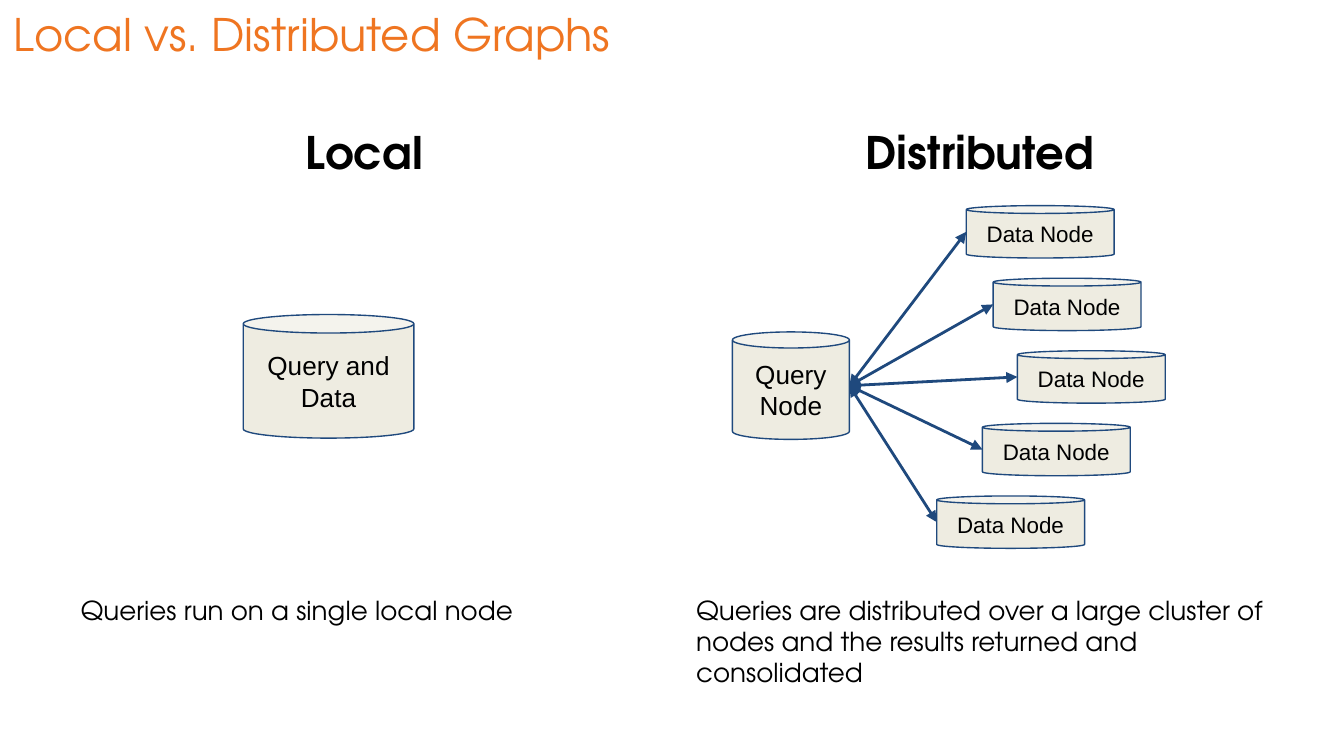
"""Build a slide comparing local and distributed graph queries."""
from dataclasses import dataclass

from lxml.etree import SubElement
from pptx import Presentation
from pptx.dml.color import RGBColor
from pptx.enum.shapes import MSO_CONNECTOR as Connector, MSO_SHAPE as Preset
from pptx.enum.text import MSO_ANCHOR as Anchor, MSO_AUTO_SIZE as AutoSize, PP_ALIGN as Align
from pptx.oxml.ns import qn
from pptx.util import Inches, Pt

ORANGE = RGBColor(0xEF, 0x75, 0x21)
BLACK = RGBColor(0, 0, 0)
CREAM = RGBColor(0xEE, 0xEC, 0xE1)
NAVY = RGBColor(0x1F, 0x49, 0x7D)
DISPLAY_FONT = "TeX Gyre Adventor"
NODE_FONT = "Arial"


@dataclass(frozen=True)
class Box:
    left: float
    top: float
    width: float
    height: float

    @property
    def middle(self) -> float:
        return self.top + self.height / 2


@dataclass(frozen=True)
class Style:
    font: str
    size: int
    color: RGBColor = BLACK
    bold: bool = False
    align: Align = Align.LEFT
    anchor: Anchor = Anchor.TOP


@dataclass(frozen=True)
class Column:
    left: float
    heading: str
    caption: str
    caption_height: float


TITLE = Style(DISPLAY_FONT, 24, ORANGE)
HEADING = Style(DISPLAY_FONT, 24, bold=True, align=Align.CENTER, anchor=Anchor.BOTTOM)
CAPTION = Style(DISPLAY_FONT, 14)
LARGE_NODE = Style(NODE_FONT, 14, align=Align.CENTER, anchor=Anchor.MIDDLE)
SMALL_NODE = Style(NODE_FONT, 12, align=Align.CENTER, anchor=Anchor.MIDDLE)

COLUMN_WIDTH = 4.42
COLUMNS = (
    Column(0.5, "Local", "Queries run on a single local node", 0.85),
    Column(5.08, "Distributed", "Queries are distributed over a large cluster of nodes "
           "and the results returned and consolidated", 1.26),
)
LOCAL_NODE = Box(1.81, 2.34, 1.27, 0.92)
QUERY_NODE = Box(5.45, 2.47, 0.87, 0.8)
DATA_NODE_LEFTS = (7.19, 7.39, 7.57, 7.31, 6.97)
DATA_NODES = [Box(left, 1.53 + 0.54 * row, 1.1, 0.39) for row, left in enumerate(DATA_NODE_LEFTS)]


def write(shape, text: str, style: Style) -> None:
    frame = shape.text_frame
    frame.word_wrap = True
    frame.auto_size = AutoSize.NONE
    frame.vertical_anchor = style.anchor
    paragraph = frame.paragraphs[0]
    paragraph.alignment = style.align
    paragraph.space_before = Pt(0)
    run = paragraph.add_run()
    run.text = text
    run.font.name = style.font
    run.font.size = Pt(style.size)
    run.font.bold = style.bold
    run.font.color.rgb = style.color


def fill_placeholder(shape, box: Box, text: str, style: Style) -> None:
    shape.left, shape.top = Inches(box.left), Inches(box.top)
    shape.width, shape.height = Inches(box.width), Inches(box.height)
    write(shape, text, style)
    properties = shape.text_frame.paragraphs[0]._p.get_or_add_pPr()
    properties.set("marL", "0")
    properties.set("indent", "0")
    SubElement(properties, qn("a:buNone"))


def add_node(slide, box: Box, text: str, style: Style) -> None:
    shape = slide.shapes.add_shape(
        Preset.CAN, Inches(box.left), Inches(box.top), Inches(box.width), Inches(box.height))
    shape.adjustments[0] = 0.15
    shape.shadow.inherit = False
    shape.fill.solid()
    shape.fill.fore_color.rgb = CREAM
    shape.line.color.rgb = NAVY
    shape.line.width = Pt(0.75)
    frame = shape.text_frame
    frame.margin_left = frame.margin_right = Inches(0.1)
    frame.margin_top = frame.margin_bottom = Inches(0.1)
    write(shape, text, style)


def add_arrow(slide, source: Box, target: Box) -> None:
    connector = slide.shapes.add_connector(
        Connector.STRAIGHT,
        Inches(source.left + source.width), Inches(source.middle),
        Inches(target.left), Inches(target.middle))
    connector.line.color.rgb = NAVY
    connector.line.width = Pt(1.5)
    line = connector.line._get_or_add_ln()
    for end in ("a:headEnd", "a:tailEnd"):
        SubElement(line, qn(end), type="triangle")
    SubElement(connector._element.spPr, qn("a:effectLst"))


def main() -> None:
    presentation = Presentation()
    presentation.slide_width = Inches(10)
    presentation.slide_height = Inches(10 * 9 / 16)
    slide = presentation.slides.add_slide(presentation.slide_layouts.get_by_name("Comparison"))

    title, *bodies = list(slide.placeholders)[:5]
    fill_placeholder(title, Box(0, 0, 8.07, 0.85), "Local vs. Distributed Graphs", TITLE)
    for column, heading, caption in zip(COLUMNS, bodies[::2], bodies[1::2]):
        fill_placeholder(heading, Box(column.left, 0.85, COLUMN_WIDTH, 0.53),
                         column.heading, HEADING)
        fill_placeholder(caption, Box(column.left, 4.37, COLUMN_WIDTH, column.caption_height),
                         column.caption, CAPTION)

    add_node(slide, LOCAL_NODE, "Query and Data", LARGE_NODE)
    add_node(slide, QUERY_NODE, "Query Node", LARGE_NODE)
    for node in DATA_NODES:
        add_node(slide, node, "Data Node", SMALL_NODE)
    for node in DATA_NODES:
        add_arrow(slide, QUERY_NODE, node)

    presentation.save("out.pptx")


if __name__ == "__main__":
    main()
